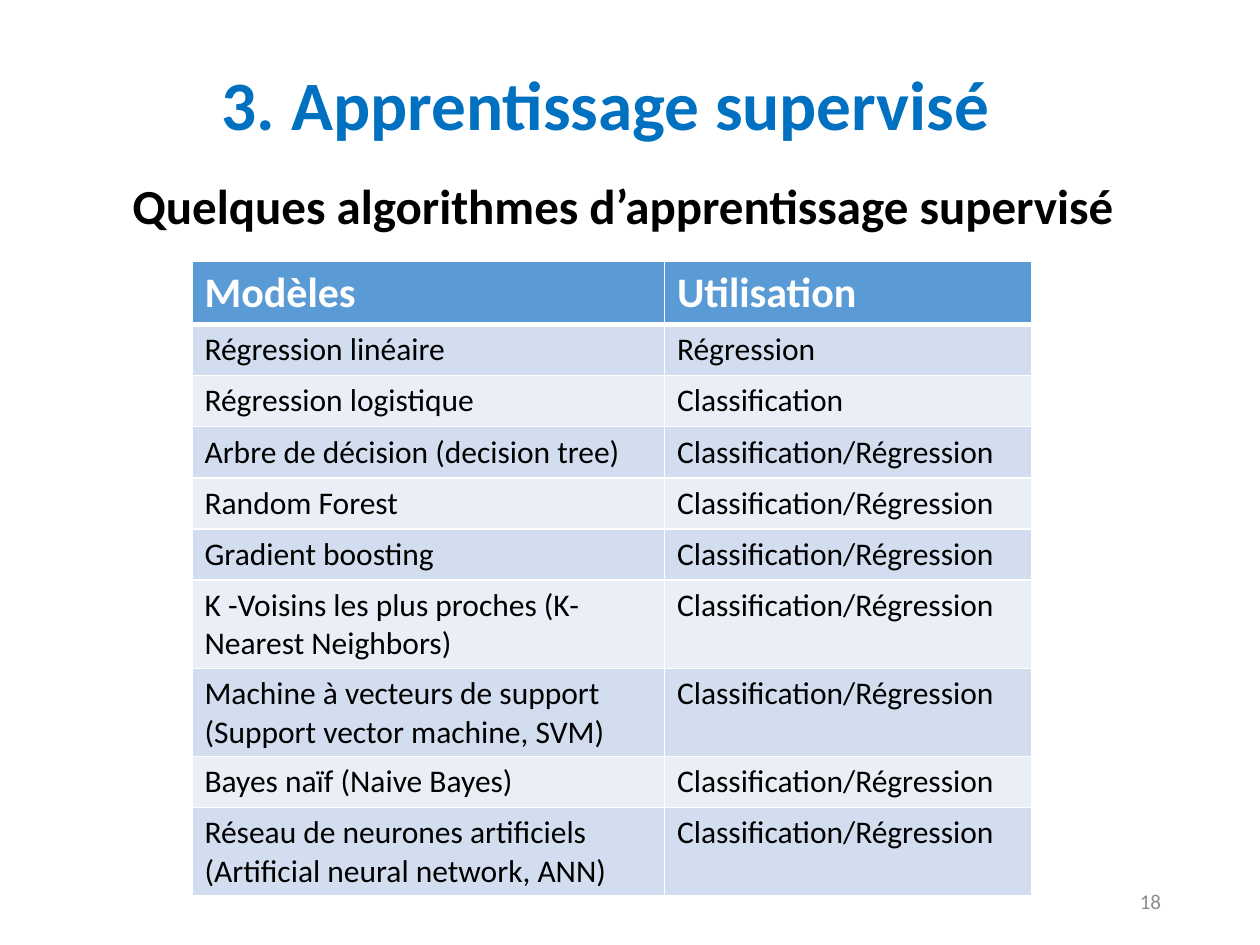
from dataclasses import dataclass

from lxml import etree
from pptx import Presentation
from pptx.dml.color import RGBColor
from pptx.enum.text import MSO_ANCHOR, PP_ALIGN
from pptx.oxml.ns import qn
from pptx.util import Pt

LEFT, CENTER, RIGHT = PP_ALIGN.LEFT, PP_ALIGN.CENTER, PP_ALIGN.RIGHT
TOP, MIDDLE = MSO_ANCHOR.TOP, MSO_ANCHOR.MIDDLE
BLANK_LAYOUT = 6
BOTH = "Classification/Régression"
MODELS = [
    ("Régression linéaire", "Régression"),
    ("Régression logistique", "Classification"),
    ("Arbre de décision (decision tree)", BOTH),
    ("Random Forest", BOTH),
    ("Gradient boosting", BOTH),
    ("K -Voisins les plus proches (K-Nearest Neighbors)", BOTH),
    ("Machine à vecteurs de support (Support vector machine, SVM)", BOTH),
    ("Bayes naïf (Naive Bayes)", BOTH),
    ("Réseau de neurones artificiels (Artificial neural network, ANN)", BOTH),
]


@dataclass(frozen=True)
class Theme:
    font: str = "Calibri"
    title: str = "0070C0"
    text: str = "000000"
    muted: str = "8C8C8C"
    white: str = "FFFFFF"
    header: str = "5B9BD5"
    bands: tuple = ("D2DEEF", "EAEFF7")
    title_size: float = 39.6
    subtitle_size: float = 28
    header_size: float = 24
    body_size: float = 18
    number_size: float = 12


class SlideBuilder:
    def __init__(self, slide, theme):
        self.slide = slide
        self.theme = theme

    def add_run(self, paragraph, text, size, color, bold=False):
        run = paragraph.add_run()
        run.text = text
        run.font.name = self.theme.font
        run.font.size = Pt(size)
        run.font.bold = bold
        run.font.color.rgb = RGBColor.from_string(color)

    def add_text(self, box, text, size, color, bold=False, align=LEFT, anchor=TOP):
        shape = self.slide.shapes.add_textbox(*map(Pt, box))
        frame = shape.text_frame
        frame.word_wrap = True
        frame.vertical_anchor = anchor
        paragraph = frame.paragraphs[0]
        paragraph.alignment = align
        self.add_run(paragraph, text, size, color, bold)

    def add_border(self, cell, side, width):
        line = etree.SubElement(cell._tc.get_or_add_tcPr(), qn(f"a:ln{side}"), w=str(Pt(width)))
        fill = etree.SubElement(line, qn("a:solidFill"))
        etree.SubElement(fill, qn("a:srgbClr"), val=self.theme.white)

    def fill_cell(self, cell, text, size, color, fill, bold=False, top=1, bottom=1):
        for side, width in zip("LRTB", (1, 1, top, bottom)):
            self.add_border(cell, side, width)
        cell.fill.solid()
        cell.fill.fore_color.rgb = RGBColor.from_string(fill)
        self.add_run(cell.text_frame.paragraphs[0], text, size, color, bold)

    def add_table(self, left, top, widths, row_height, header, rows):
        theme = self.theme
        count = len(rows) + 1
        frame = self.slide.shapes.add_table(
            count, len(widths), Pt(left), Pt(top), Pt(sum(widths)), Pt(row_height * count))
        table = frame.table
        for column, width in zip(table.columns, widths):
            column.width = Pt(width)
        for index, text in enumerate(header):
            self.fill_cell(table.cell(0, index), text, theme.header_size,
                           theme.white, theme.header, bold=True, bottom=3)
        for row, values in enumerate(rows, start=1):
            for index, text in enumerate(values):
                self.fill_cell(table.cell(row, index), text, theme.body_size, theme.text,
                               theme.bands[(row - 1) % 2], top=3 if row == 1 else 1)


def main():
    """Build the slide listing supervised learning algorithms."""
    presentation = Presentation()
    presentation.slide_width, presentation.slide_height = Pt(720), Pt(540)
    slide = presentation.slides.add_slide(presentation.slide_layouts[BLANK_LAYOUT])
    theme = Theme()
    builder = SlideBuilder(slide, theme)
    builder.add_text((22.3, 13.7, 648, 90), "3. Apprentissage supervisé",
                     theme.title_size, theme.title, True, CENTER, MIDDLE)
    builder.add_text((508.5, 500.5, 162, 28.75), "18",
                     theme.number_size, theme.muted, align=RIGHT, anchor=MIDDLE)
    builder.add_text((68.6, 96.5, 612.7, 41), "Quelques algorithmes d’apprentissage supervisé",
                     theme.subtitle_size, theme.text, True)
    builder.add_table(109.7, 149.4, (270, 209.7), 29.2, ("Modèles", "Utilisation"), MODELS)
    presentation.save("out.pptx")


if __name__ == "__main__":
    main()
